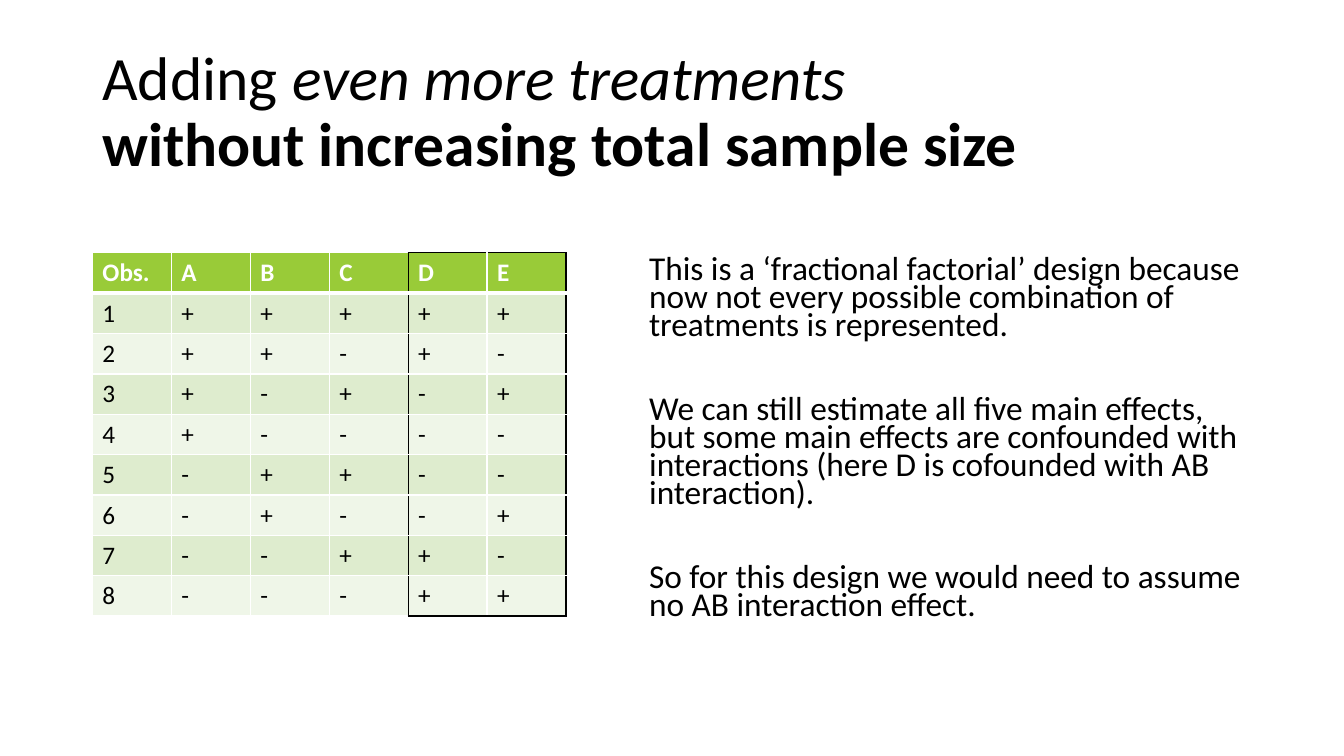
from dataclasses import dataclass
from itertools import product
from typing import NamedTuple

from lxml import etree
from pptx import Presentation, util as u
from pptx.dml.color import RGBColor
from pptx.enum import text
from pptx.oxml import ns


@dataclass(frozen=True)
class Theme:
    font: str = "Calibri"
    ink: str = "000000"
    paper: str = "FFFFFF"
    header: str = "99CB38"
    bands: tuple[str, str] = ("DEECCE", "EFF6E8")
    title_size: float = 44
    body_size: float = 23.8
    table_size: float = 18
    body_gap: float = 40


class Area(NamedTuple):
    col: float
    row: float
    cols: float
    rows: float


class Span(NamedTuple):
    words: str
    bold: bool = False
    italic: bool = False


class Edge(NamedTuple):
    tag: str
    color: str
    width: float


THEME = Theme()
GRID_COLS, GRID_ROWS = 160, 90
UNIT = u.Inches(7.5) / GRID_ROWS

TITLE_AREA = Area(11, 4.8, 138, 17.4)
TABLE_AREA = Area(11, 30.1, 56.4, 43.2)
BODY_AREA = Area(76.1, 30.1, 73, 49.4)

TITLE_LINES = [
    [Span("Adding "), Span("even more treatments", italic=True)],
    [Span("without increasing total sample size", bold=True)],
]
BODY = [
    "This is a ‘fractional factorial’ design because now not every possible "
    "combination of treatments is represented.",
    "We can still estimate all five main effects, but some main effects are "
    "confounded with interactions (here D is cofounded with AB interaction).",
    "So for this design we would need to assume no AB interaction effect.",
]
HEADINGS = ["Obs.", "A", "B", "C", "D", "E"]
FIRST_ADDED = HEADINGS.index("D")


def place(area: Area) -> list[int]:
    return [u.Emu(round(n * UNIT)) for n in area]


def style(p, size: float, color: str = THEME.ink, bold: bool = False) -> None:
    p.font.name = THEME.font
    p.font.size = u.Pt(size)
    p.font.bold = bold
    p.font.color.rgb = RGBColor.from_string(color)


def add_frame(s, area: Area, anchor: text.MSO_ANCHOR):
    tf = s.shapes.add_textbox(*place(area)).text_frame
    tf.word_wrap = True
    tf.vertical_anchor = anchor
    return tf


def add_title(s) -> None:
    p = add_frame(s, TITLE_AREA, text.MSO_ANCHOR.MIDDLE).paragraphs[0]
    p.line_spacing = 0.9
    style(p, THEME.title_size)
    for i, line in enumerate(TITLE_LINES):
        if i:
            p.add_line_break()
        for span in line:
            r = p.add_run()
            r.text = span.words
            r.font.bold = span.bold
            r.font.italic = span.italic


def add_body(s) -> None:
    tf = add_frame(s, BODY_AREA, text.MSO_ANCHOR.TOP)
    for i, words in enumerate(BODY):
        p = tf.add_paragraph() if i else tf.paragraphs[0]
        p.text = words
        p.line_spacing = 0.7
        p.space_before = u.Pt(THEME.body_gap if i else 0)
        style(p, THEME.body_size)


def design_rows() -> list[list[str]]:
    rows = [HEADINGS]
    for obs, (a, b, c) in enumerate(product((1, -1), repeat=3), 1):
        levels = (a, b, c, a * b, a * c)
        rows.append([str(obs)] + ["+" if n > 0 else "-" for n in levels])
    return rows


def cell_edges(row: int, col: int, last_row: int, last_col: int) -> list[Edge]:
    added = col >= FIRST_ADDED
    outlined = {
        "lnL": col == FIRST_ADDED,
        "lnR": col in (FIRST_ADDED - 1, last_col),
        "lnT": added and row == 0,
        "lnB": added and row == last_row,
    }
    under_header = {("lnB", 0), ("lnT", 1)}
    return [
        Edge(tag, THEME.ink if dark else THEME.paper, 3 if (tag, row) in under_header else 1)
        for tag, dark in outlined.items()
    ]


def draw_edge(cell, edge: Edge) -> None:
    props = cell._tc.get_or_add_tcPr()
    ln = etree.SubElement(props, ns.qn(f"a:{edge.tag}"), w=str(u.Pt(edge.width)))
    fill = etree.SubElement(ln, ns.qn("a:solidFill"))
    etree.SubElement(fill, ns.qn("a:srgbClr"), val=edge.color)


def add_design_table(s) -> None:
    rows = design_rows()
    table = s.shapes.add_table(len(rows), len(HEADINGS), *place(TABLE_AREA)).table
    for i, row in enumerate(rows):
        header = i == 0
        background = THEME.header if header else THEME.bands[(i - 1) % 2]
        for j, words in enumerate(row):
            cell = table.cell(i, j)
            for edge in cell_edges(i, j, len(rows) - 1, len(row) - 1):
                draw_edge(cell, edge)
            cell.fill.solid()
            cell.fill.fore_color.rgb = RGBColor.from_string(background)
            p = cell.text_frame.paragraphs[0]
            p.text = words
            style(p, THEME.table_size, THEME.paper if header else THEME.ink, header)


def main() -> None:
    prs = Presentation()
    prs.slide_width = u.Emu(round(GRID_COLS * UNIT))
    prs.slide_height = u.Emu(round(GRID_ROWS * UNIT))
    s = prs.slides.add_slide(prs.slide_layouts[6])
    add_title(s)
    add_body(s)
    add_design_table(s)
    prs.save("out.pptx")


if __name__ == "__main__":
    main()
